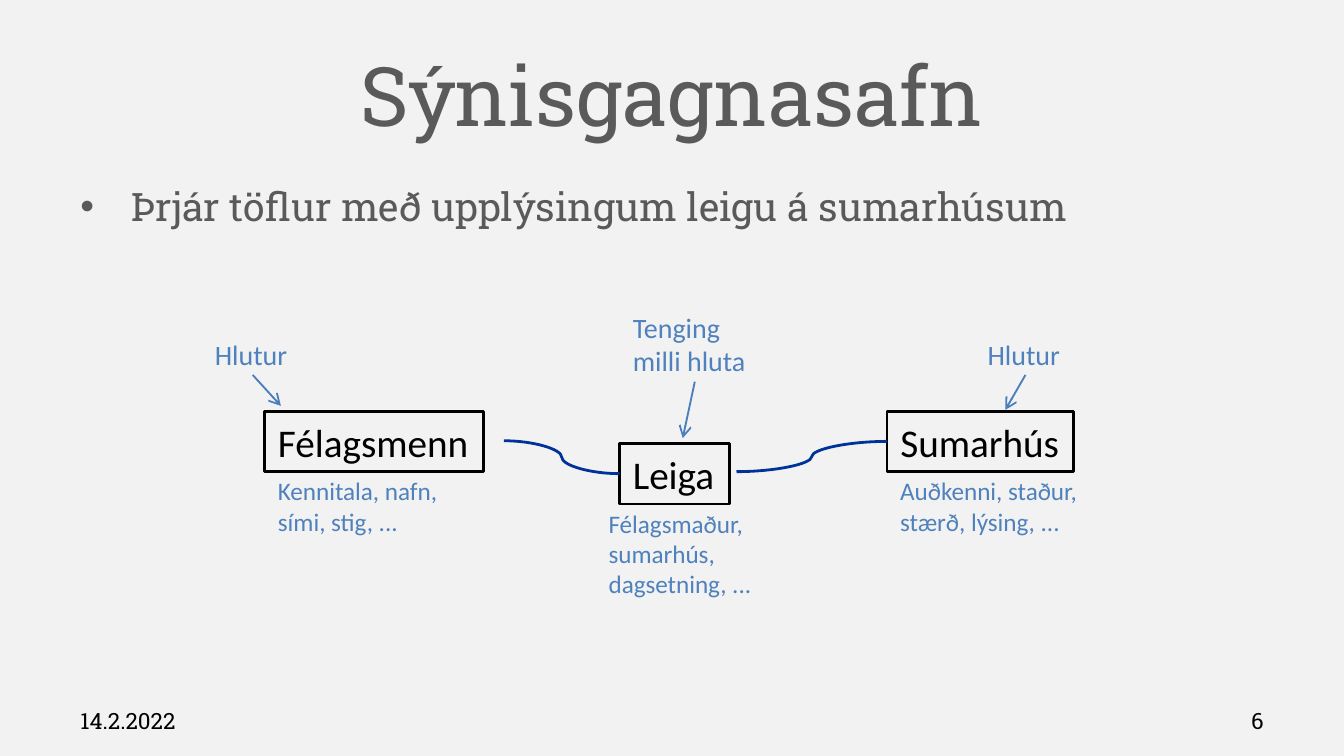
import dataclasses

import pptx
import pptx.dml.color
import pptx.enum.shapes
import pptx.enum.text
import pptx.oxml
import pptx.oxml.ns
import pptx.util

Inches = pptx.util.Inches
Align = pptx.enum.text.PP_ALIGN
Anchor = pptx.enum.text.MSO_ANCHOR
Connector = pptx.enum.shapes.MSO_CONNECTOR


@dataclasses.dataclass(frozen=True)
class Theme:
    """Colours, fonts, type sizes and line widths of the slide."""
    background: str = "F2F2F2"
    heading: str = "5A5A5A"
    ink: str = "000000"
    note: str = "4F81BD"
    arrow: str = "4B7EBC"
    curve: str = "003399"
    slab: str = "Roboto Slab"
    sans: str = "Calibri"
    title_size: float = 44
    body_size: float = 21
    hint_size: float = 15
    attribute_size: float = 13.5
    footer_size: float = 12
    thin: float = 1
    thick: float = 1.5


THEME = Theme()


def rgb(value):
    """Turn a hex string into a colour."""
    return pptx.dml.color.RGBColor.from_string(value)


def add_element(parent, tag, **attributes):
    """Append a drawing element to a parent element."""
    element = pptx.oxml.parse_xml(f"<a:{tag} {pptx.oxml.ns.nsdecls('a')}/>")
    for name, value in attributes.items():
        element.set(name, value)
    parent.append(element)


def write(shape, text, font, size, color, align=Align.LEFT, anchor=Anchor.TOP, wrap=True):
    """Set the text of a shape and format it."""
    frame = shape.text_frame
    frame.text = text
    frame.word_wrap = wrap
    frame.vertical_anchor = anchor
    paragraph = frame.paragraphs[0]
    paragraph.alignment = align
    run_font = paragraph.runs[0].font
    run_font.name = font
    run_font.size = pptx.util.Pt(size)
    run_font.color.rgb = rgb(color)
    return paragraph


def add_text(slide, box, *style, **layout):
    """Add a text box at left, top, width, height."""
    return write(slide.shapes.add_textbox(*map(Inches, box)), *style, **layout)


def add_line(slide, kind, start, end, color, width):
    """Add a connector without a shadow between two points."""
    line = slide.shapes.add_connector(kind, *map(Inches, (*start, *end)))
    line.line.color.rgb = rgb(color)
    line.line.width = pptx.util.Pt(width)
    add_element(line._element.spPr, "effectLst")
    return line


def add_heading(slide, box):
    """Place the title and the bullet below it."""
    left, top, width, height = box
    add_text(slide, (left, top, width, 0.94), "Sýnisgagnasafn", THEME.slab,
             THEME.title_size, THEME.heading, align=Align.CENTER, anchor=Anchor.MIDDLE)
    paragraph = add_text(slide, (left, top + 1.08, width, height - 1.08),
                         "Þrjár töflur með upplýsingum leigu á sumarhúsum",
                         THEME.slab, THEME.body_size, THEME.heading)
    properties = paragraph._p.get_or_add_pPr()
    properties.set("marL", str(Inches(0.38)))
    properties.set("indent", str(-Inches(0.38)))
    add_element(properties, "buFont", typeface="Arial")
    add_element(properties, "buChar", char="•")


def add_entity(slide, box, name, attributes, attribute_box, hint, hint_box, arrow):
    """Place a framed table name with its attributes, hint and arrow; offsets are from the frame."""
    left, top = box[:2]
    frame = slide.shapes.add_shape(pptx.enum.shapes.MSO_SHAPE.RECTANGLE, *map(Inches, box))
    frame.shadow.inherit = False
    frame.fill.background()
    frame.line.color.rgb = rgb(THEME.ink)
    frame.line.width = pptx.util.Pt(THEME.thick)
    write(frame, name, THEME.sans, THEME.body_size, THEME.ink, wrap=False)
    for text, (x, y, width, height), size in (
        (attributes, attribute_box, THEME.attribute_size),
        (hint, hint_box, THEME.hint_size),
    ):
        add_text(slide, (left + x, top + y, width, height), text, THEME.sans, size, THEME.note)
    start, end = ((left + x, top + y) for x, y in arrow)
    pointer = add_line(slide, Connector.STRAIGHT, start, end, THEME.arrow, THEME.thin)
    add_element(pointer.line._get_or_add_ln(), "tailEnd", type="arrow")
    return frame


def add_diagram(slide, box):
    """Place the three tables and the curves that relate them."""
    left, top = box[:2]
    outer_top, middle_top = top + 0.8, top + 1.04
    add_entity(
        slide, (left + 0.47, outer_top, 1.63, 0.45), "Félagsmenn",
        "Kennitala, nafn, sími, stig, ...", (0, 0.43, 1.76, 0.56),
        "Hlutur", (-0.47, -0.6, 0.76, 0.35), ((-0.09, -0.27), (0.12, -0.04)))
    rental = add_entity(
        slide, (left + 3.11, middle_top, 0.82, 0.45), "Leiga",
        "Félagsmaður, sumarhús, dagsetning, ...", (-0.18, 0.43, 1.41, 0.78),
        "Tenging milli hluta", (0, -1.04, 1.11, 0.61), ((0.56, -0.46), (0.47, -0.04)))
    house = add_entity(
        slide, (left + 5.1, outer_top, 1.39, 0.45), "Sumarhús",
        "Auðkenni, staður, stærð, lýsing, ...", (0, 0.43, 1.64, 0.56),
        "Hlutur", (0.65, -0.6, 0.76, 0.35), ((1.03, -0.27), (0.88, -0.01)))
    high, low = outer_top + 0.22, middle_top + 0.21
    for start, end, target in (
        ((left + 2.25, high), (left + 3.11, low), rental),
        ((left + 3.98, low), (left + 5.1, high), house),
    ):
        curve = add_line(slide, Connector.CURVE, start, end, THEME.curve, THEME.thick)
        curve.end_connect(target, 1)


def add_footer(slide, box):
    """Place the date at the left and the slide number at the right."""
    left, top, width, height = box
    part = 2.33
    for x, text, align in ((left, "14.2.2022", Align.LEFT),
                           (left + width - part, "6", Align.RIGHT)):
        add_text(slide, (x, top, part, height), text, THEME.slab, THEME.footer_size,
                 THEME.ink, align=align, anchor=Anchor.MIDDLE)


def main():
    """Build the slide and save it."""
    presentation = pptx.Presentation()
    presentation.slide_width = Inches(10)
    presentation.slide_height = presentation.slide_width * 9 // 16
    slide = presentation.slides.add_slide(presentation.slide_layouts[6])
    slide.background.fill.solid()
    slide.background.fill.fore_color.rgb = rgb(THEME.background)
    add_heading(slide, (0.5, 0.23, 9, 4.79))
    add_diagram(slide, (1.5, 2.26, 6.74, 2.25))
    add_footer(slide, (0.5, 5.21, 9, 0.3))
    presentation.save("out.pptx")


if __name__ == "__main__":
    main()
